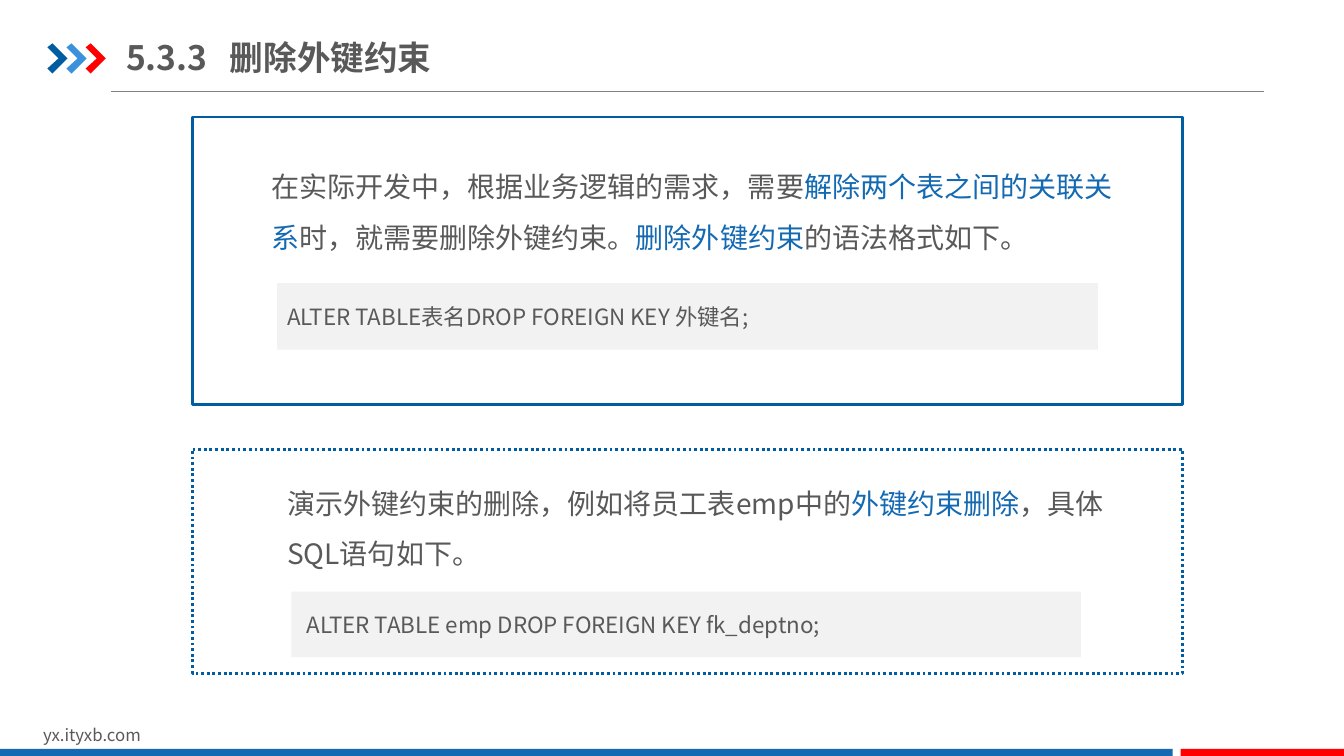
from dataclasses import dataclass

from lxml.etree import SubElement
from pptx import Presentation
from pptx.dml.color import RGBColor
from pptx.enum.dml import MSO_LINE_DASH_STYLE as Dash
from pptx.enum.shapes import MSO_CONNECTOR as Connector, MSO_SHAPE as Shape
from pptx.enum.text import MSO_ANCHOR as Anchor, MSO_AUTO_SIZE as AutoSize, PP_ALIGN as Align
from pptx.oxml.ns import qn
from pptx.util import Inches, Pt


@dataclass(frozen=True)
class Theme:
    font: str = "Noto Sans CJK SC"
    text: str = "595959"
    accent: str = "1369B2"
    navy: str = "005DA2"
    sky: str = "3992DB"
    red: str = "FF0000"
    rule: str = "808080"
    white: str = "FFFFFF"
    code_fill: str = "F2F2F2"
    title_size: int = 24
    body_size: int = 20
    code_size: int = 16
    footer_size: int = 12


def write_text(frame, pieces, theme, size, bold=False, spacing=None,
               anchor=Anchor.TOP, insets=(0.1, 0.05, 0.1, 0.05), tab=None):
    """Fill a frame with (text, colour) pieces forming one paragraph."""
    frame.word_wrap = True
    frame.auto_size = AutoSize.NONE
    frame.vertical_anchor = anchor
    (frame.margin_left, frame.margin_top,
     frame.margin_right, frame.margin_bottom) = map(Inches, insets)
    paragraph = frame.paragraphs[0]
    paragraph.alignment = Align.LEFT
    if spacing:
        paragraph.line_spacing = spacing
    if tab:
        stops = SubElement(paragraph._p.get_or_add_pPr(), qn("a:tabLst"))
        SubElement(stops, qn("a:tab"), pos=str(Inches(tab)), algn="l")
    for text, colour in pieces:
        run = paragraph.add_run()
        run.text = text
        run.font.size = Pt(size)
        run.font.bold = bold
        run.font.color.rgb = RGBColor.from_string(colour)
        run.font.name = theme.font
        east_asian = SubElement(run._r.get_or_add_rPr(), qn("a:ea"))
        east_asian.set("typeface", theme.font)


class SlideBuilder:
    def __init__(self, slide, theme):
        self.slide = slide
        self.theme = theme

    def paint(self, shape, fill, outline=None, dash=None):
        shape.shadow.inherit = False
        shape.fill.solid()
        shape.fill.fore_color.rgb = RGBColor.from_string(fill)
        if outline:
            shape.line.color.rgb = RGBColor.from_string(outline)
            shape.line.width = Pt(2)
            if dash:
                shape.line.dash_style = dash
        else:
            shape.line.fill.background()
        return shape

    def title(self, text, box, tab):
        heading = self.slide.shapes.title
        heading.left, heading.top, heading.width, heading.height = map(Inches, box)
        write_text(heading.text_frame, [(text, self.theme.text)], self.theme,
                   self.theme.title_size, bold=True, anchor=Anchor.MIDDLE,
                   insets=(0, 0.07, 0, 0.07), tab=tab)

    def rule(self, left, right, y):
        line = self.slide.shapes.add_connector(
            Connector.STRAIGHT, *map(Inches, (left, y, right, y)))
        line.line.color.rgb = RGBColor.from_string(self.theme.rule)
        line.line.width = Pt(0.75)
        SubElement(line._element.spPr, qn("a:effectLst"))

    def chevron(self, left, top, fill):
        # Outline in hundredths of an inch
        outline = [(5, 0), (20, 15), (5, 30), (0, 25), (11, 15)]
        builder = self.slide.shapes.build_freeform(0, 4, scale=Inches(0.01))
        builder.add_line_segments(outline, close=True)
        self.paint(builder.convert_to_shape(Inches(left), Inches(top)), fill)

    def block(self, box, fill, kind=Shape.RECTANGLE, outline=None, dash=None):
        shape = self.slide.shapes.add_shape(kind, *map(Inches, box))
        return self.paint(shape, fill, outline, dash)

    def panel(self, box, dash=None):
        self.block(box, self.theme.white, Shape.FLOWCHART_PROCESS, self.theme.navy, dash)

    def text(self, pieces, box, size, spacing=None):
        label = self.slide.shapes.add_textbox(*map(Inches, box))
        write_text(label.text_frame, pieces, self.theme, size, spacing=spacing)

    def code(self, statement, box, indent):
        strip = self.block(box, self.theme.code_fill)
        write_text(strip.text_frame, [(statement, self.theme.text)], self.theme,
                   self.theme.code_size, anchor=Anchor.MIDDLE,
                   insets=(indent, 0.05, 0.1, 0.05))


def main():
    theme = Theme()
    deck = Presentation()
    deck.slide_width, deck.slide_height = Inches(13.33), Inches(7.5)
    page = SlideBuilder(deck.slides.add_slide(deck.slide_layouts[5]), theme)

    # Header
    page.rule(1.1, 12.54, 0.91)
    for index, colour in enumerate((theme.navy, theme.sky, theme.red)):
        page.chevron(0.47 + 0.19 * index, 0.43, colour)
    page.title("5.3.3\t删除外键约束", (1.25, 0.29, 4.64, 0.55), tab=1.03)

    # Footer
    page.text([("yx.ityxb.com", theme.text)], (0.33, 7.14, 3.18, 0.3), theme.footer_size)
    page.block((0, 7.43, 11.63, 0.09), theme.accent)
    page.block((11.71, 7.43, 1.63, 0.09), theme.red)

    # Syntax for dropping a foreign key
    page.panel((1.91, 1.16, 9.82, 2.85))
    page.text([
        ("在实际开发中，根据业务逻辑的需求，需要", theme.text),
        ("解除两个表之间的关联关系", theme.accent),
        ("时，就需要删除外键约束。", theme.text),
        ("删除外键约束", theme.accent),
        ("的语法格式如下。", theme.text),
    ], (2.59, 1.47, 8.65, 1.11), theme.body_size, spacing=1.5)
    page.code("ALTER TABLE表名DROP FOREIGN KEY 外键名;", (2.75, 2.81, 8.14, 0.66), indent=0.1)

    # Worked example on the emp table
    page.panel((1.91, 4.46, 9.82, 2.22), dash=Dash.ROUND_DOT)
    page.text([
        ("演示外键约束的删除，例如将员工表emp中的", theme.text),
        ("外键约束删除", theme.accent),
        ("，具体SQL语句如下。", theme.text),
    ], (2.75, 4.61, 8.34, 1.11), theme.body_size, spacing=1.5)
    page.code("ALTER TABLE emp DROP FOREIGN KEY fk_deptno;", (2.89, 5.87, 7.83, 0.65), indent=0.15)

    deck.save("out.pptx")


if __name__ == "__main__":
    main()
